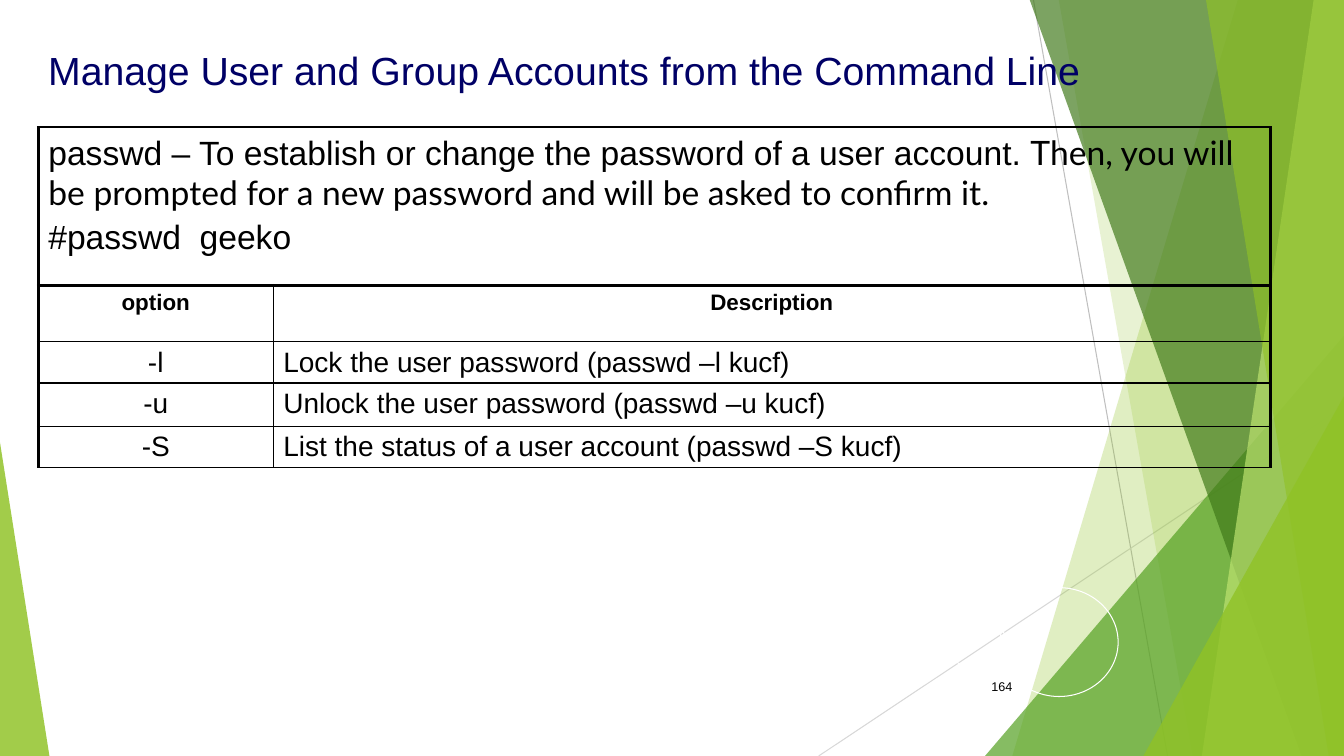
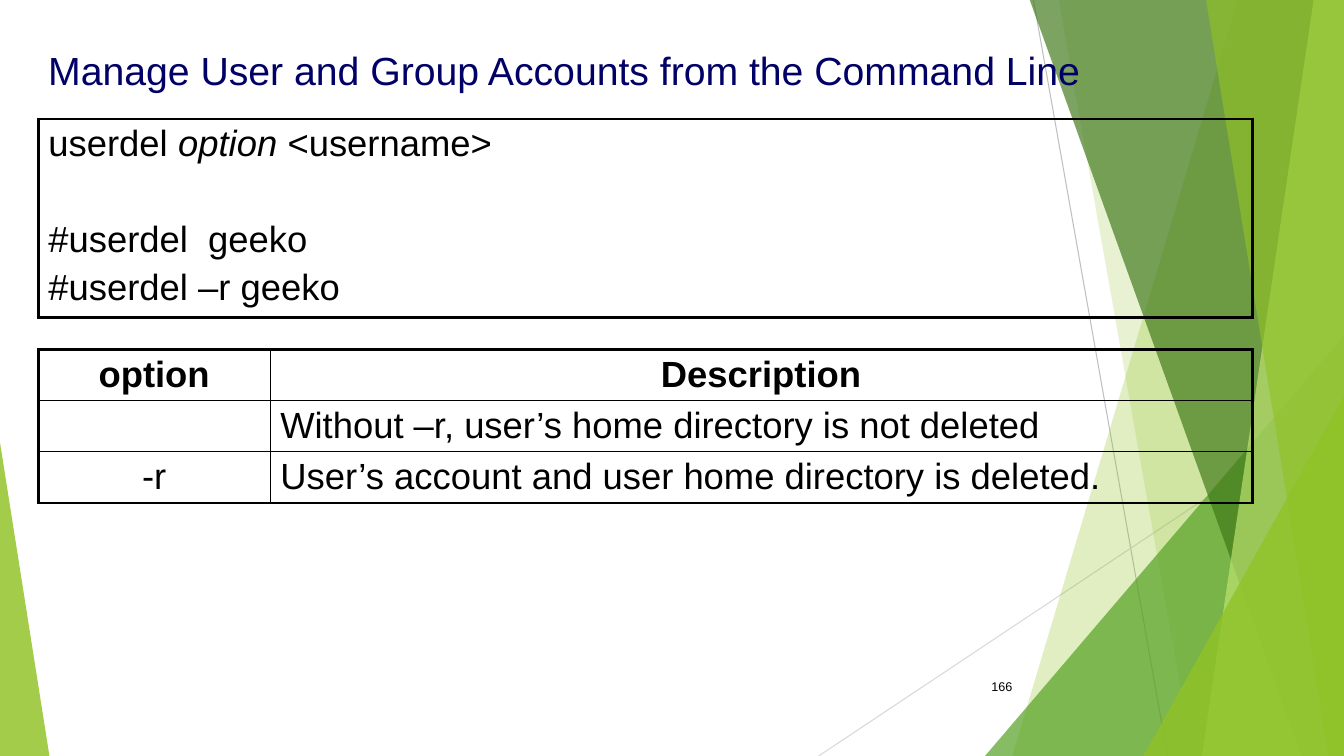
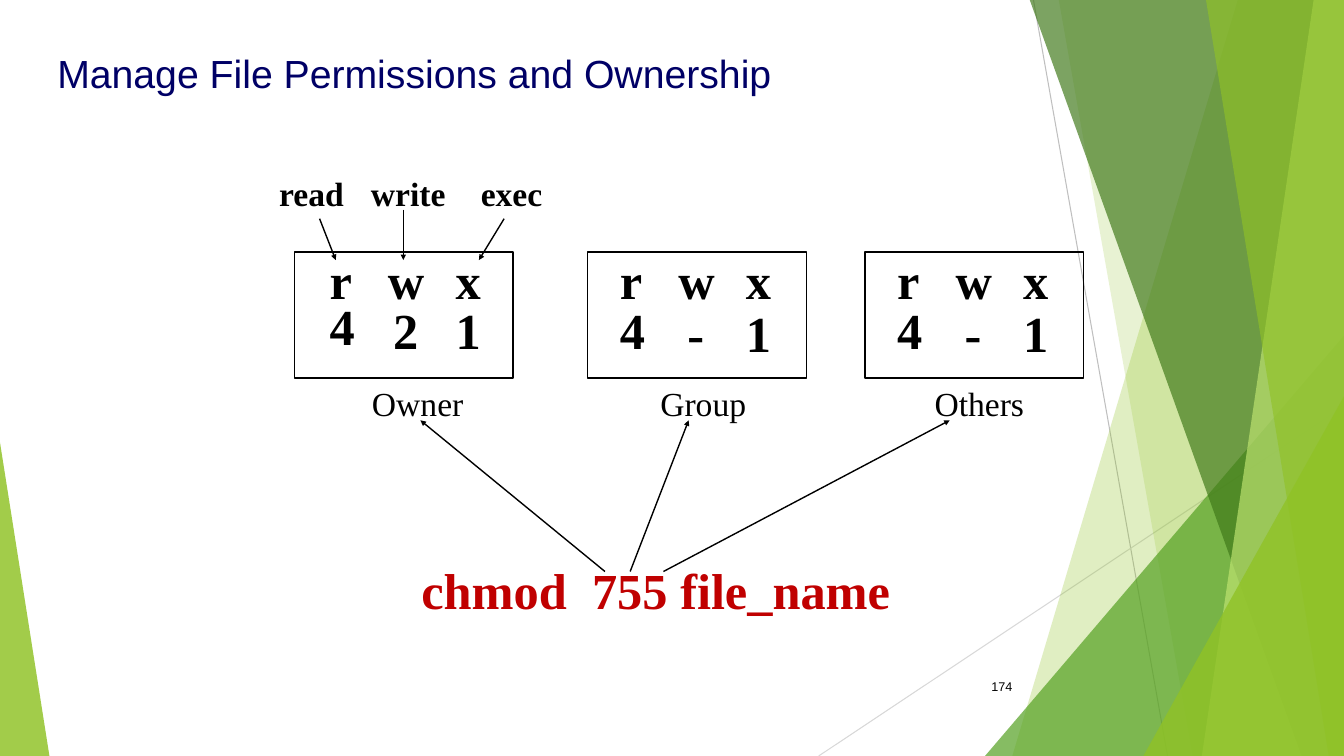
import dataclasses
from typing import NamedTuple

import lxml.etree
import pptx
import pptx.dml.color
import pptx.enum.shapes
import pptx.enum.text
import pptx.oxml.ns
import pptx.shapes.autoshape
import pptx.slide
import pptx.table
import pptx.text.text
import pptx.util

Inches = pptx.util.Inches
Pt = pptx.util.Pt
Align = pptx.enum.text.PP_ALIGN
Preset = pptx.enum.shapes.MSO_SHAPE
qn = pptx.oxml.ns.qn


@dataclasses.dataclass(frozen=True)
class Theme:
    # Colours
    ink: str = "000000"
    white: str = "FFFFFF"
    title: str = "000066"
    command: str = "C00000"
    lime: str = "90C226"
    pale_lime: str = "BFE471"
    green: str = "54A021"
    dark_green: str = "3F7818"
    line_gray: str = "BFBFBF"
    light_gray: str = "D8D8D8"
    # Fonts
    sans: str = "Arial"
    humanist: str = "Lato"
    serif: str = "Times New Roman"
    # Type sizes and line widths, in points
    title_size: int = 28
    number_size: int = 9
    intro_size: int = 24
    userdel_size: int = 26
    header_size: int = 16
    option_size: int = 20
    label_size: int = 24
    symbol_size: int = 36
    thick: float = 2.25
    thin: float = 1
    hairline: float = 0.75
    # Table style without fills and grid
    plain_table: str = "{2D5ABB26-0587-4C30-8999-92F81FD0307C}"


THEME = Theme()


class Run(NamedTuple):
    text: str
    size: float
    font: str = THEME.sans
    color: str = THEME.ink
    bold: bool = False
    italic: bool = False


class Para(NamedTuple):
    runs: tuple[Run, ...]
    align: Align = Align.LEFT
    before: float = 0


class Box(NamedTuple):
    left: float
    top: float
    width: float
    height: float


class Band(NamedTuple):
    """A sloped band that reaches the right edge of the slide."""
    top_left: float
    bottom_left: float
    color: str
    opacity: int


class Wedge(NamedTuple):
    box: Box
    apex: float
    color: str
    opacity: int


class Arrow(NamedTuple):
    x1: float
    y1: float
    x2: float
    y2: float


class Party(NamedTuple):
    """One class of users with its permission box."""
    name: str
    name_box: Box
    frame_left: float
    letters_left: float
    digits: str
    digit_offsets: tuple[float, ...]
    digit_tops: tuple[float, ...]


WIDTH, HEIGHT = 13.33, 7.5
BACK_BANDS = (Band(12.28, 10.04, THEME.lime, 28), Band(10.5, 11.83, THEME.lime, 20))
FRONT_BANDS = (
    Band(10.21, 12.91, THEME.dark_green, 68),
    Band(13.03, 11.92, THEME.pale_lime, 68),
    Band(11.96, 13.18, THEME.lime, 63),
)
MIDDLE_WEDGE = Wedge(Box(9.77, 3.33, 3.56, 4.17), 1, THEME.green, 70)
FRONT_WEDGES = (
    Wedge(Box(11.34, 3.93, 1.99, 3.57), 1, THEME.lime, 80),
    Wedge(Box(0, 4.39, 0.49, 3.11), 0, THEME.lime, 83),
)


# Basic parts

def rgb(color: str) -> pptx.dml.color.RGBColor:
    return pptx.dml.color.RGBColor.from_string(color)


def emu(box: Box) -> tuple[int, ...]:
    return tuple(Inches(length) for length in box)


def fill_frame(frame: pptx.text.text.TextFrame, paras: tuple[Para, ...]) -> None:
    for index, para in enumerate(paras):
        paragraph = frame.add_paragraph() if index else frame.paragraphs[0]
        paragraph.alignment = para.align
        if para.before:
            paragraph.space_before = Pt(para.before)
        for part in para.runs:
            run = paragraph.add_run()
            run.text = part.text
            run.font.size = Pt(part.size)
            run.font.name = part.font
            run.font.bold = part.bold
            run.font.italic = part.italic
            run.font.color.rgb = rgb(part.color)
        # The paragraph mark takes the type of the last run
        mark = lxml.etree.SubElement(paragraph._p, qn("a:endParaRPr"),
                                     sz=str(int(part.size * 100)))
        lxml.etree.SubElement(mark, qn("a:latin"), typeface=part.font)


def add_text(slide: pptx.slide.Slide, box: Box, run: Run, align: Align = Align.LEFT,
             wrap: bool = False) -> pptx.text.text.TextFrame:
    frame = slide.shapes.add_textbox(*emu(box)).text_frame
    frame.word_wrap = wrap
    fill_frame(frame, (Para((run,), align),))
    return frame


def add_line(slide: pptx.slide.Slide, ends: Arrow, color: str, width: float,
             arrowhead: bool = False) -> None:
    line = slide.shapes.add_connector(
        pptx.enum.shapes.MSO_CONNECTOR.STRAIGHT, *(Inches(value) for value in ends))
    line.line.color.rgb = rgb(color)
    line.line.width = Pt(width)
    if arrowhead:
        lxml.etree.SubElement(line.line._get_or_add_ln(), qn("a:tailEnd"),
                              type="triangle", w="sm", len="sm")
    lxml.etree.SubElement(line.element.spPr, qn("a:effectLst"))


def add_outline(slide: pptx.slide.Slide, preset: Preset, box: Box, color: str,
                width: float) -> None:
    outline = slide.shapes.add_shape(preset, *emu(box))
    outline.shadow.inherit = False
    outline.fill.background()
    outline.line.color.rgb = rgb(color)
    outline.line.width = Pt(width)


def paint(shape: pptx.shapes.autoshape.Shape, color: str, opacity: int) -> None:
    shape.shadow.inherit = False
    shape.line.fill.background()
    shape.fill.solid()
    shape.fill.fore_color.rgb = rgb(color)
    tint = shape.element.xpath("./p:spPr/a:solidFill/a:srgbClr")[0]
    lxml.etree.SubElement(tint, qn("a:alpha"), val=str(opacity * 1000))


# Shared backdrop

def add_band(slide: pptx.slide.Slide, band: Band) -> None:
    top, bottom, right = Inches(-0.01), Inches(HEIGHT), Inches(WIDTH)
    builder = slide.shapes.build_freeform(Inches(band.top_left), top)
    builder.add_line_segments(
        [(right, top), (right, bottom), (Inches(band.bottom_left), bottom)], close=True)
    paint(builder.convert_to_shape(), band.color, band.opacity)


def add_wedge(slide: pptx.slide.Slide, wedge: Wedge) -> None:
    triangle = slide.shapes.add_shape(Preset.ISOSCELES_TRIANGLE, *emu(wedge.box))
    triangle.adjustments[0] = wedge.apex
    paint(triangle, wedge.color, wedge.opacity)


def build_backdrop(slide: pptx.slide.Slide) -> None:
    """Draw the backdrop, then hand it to the layout that all slides use."""
    add_line(slide, Arrow(10.25, 0, 11.58, HEIGHT), THEME.line_gray, THEME.hairline)
    add_line(slide, Arrow(WIDTH, 4.03, 8.12, HEIGHT), THEME.light_gray, THEME.hairline)
    for band in BACK_BANDS:
        add_band(slide, band)
    add_wedge(slide, MIDDLE_WEDGE)
    for band in FRONT_BANDS:
        add_band(slide, band)
    for wedge in FRONT_WEDGES:
        add_wedge(slide, wedge)

    layout = slide.slide_layout
    for placeholder in list(layout.placeholders):
        layout.shapes.element.remove(placeholder.element)
    for shape in list(slide.shapes):
        layout.shapes.element.append(shape.element)


def add_title(slide: pptx.slide.Slide, text: str, box: Box) -> None:
    add_text(slide, box, Run(text, THEME.title_size, color=THEME.title), wrap=True)


def add_number(slide: pptx.slide.Slide, number: int) -> None:
    frame = add_text(slide, Box(9.39, 6.61, 0.75, 0.4),
                     Run(str(number), THEME.number_size), Align.RIGHT, wrap=True)
    frame.vertical_anchor = pptx.enum.text.MSO_ANCHOR.MIDDLE


# Tables

TABLE_LEFT = 0.38
TABLE_FRAME = 3.28


def set_borders(cell: pptx.table._Cell, widths: dict[str, float]) -> None:
    properties = cell._tc.get_or_add_tcPr()
    for index, side in enumerate(("lnL", "lnR", "lnT", "lnB")):
        border = lxml.etree.Element(qn(f"a:{side}"), w=str(int(Pt(widths[side]))))
        fill = lxml.etree.SubElement(border, qn("a:solidFill"))
        lxml.etree.SubElement(fill, qn("a:srgbClr"), val=THEME.ink)
        properties.insert(index, border)


def add_grid(slide: pptx.slide.Slide, top: float, columns: tuple[float, ...],
             heights: tuple[float, ...], rows: list[list[tuple[Para, ...]]],
             top_line: float = THEME.thick, bottom_line: float = THEME.thick) -> None:
    holder = slide.shapes.add_table(
        len(heights), len(columns),
        *emu(Box(TABLE_LEFT, top, TABLE_FRAME, TABLE_FRAME)))
    grid = holder.table
    grid.first_row = grid.horz_banding = False
    holder.element.xpath(".//a:tableStyleId")[0].text = THEME.plain_table
    for column, width in zip(grid.columns, columns):
        column.width = Inches(width)
    for row, height in zip(grid.rows, heights):
        row.height = Inches(height)
    # Row and column sizes rule; the frame keeps its square size
    holder.width = holder.height = Inches(TABLE_FRAME)
    last_row, last_column = len(heights) - 1, len(columns) - 1
    for r, row in enumerate(rows):
        for c, paras in enumerate(row):
            cell = grid.cell(r, c)
            cell.margin_bottom = 0
            cell.fill.background()
            set_borders(cell, {
                "lnL": THEME.thin if c else THEME.thick,
                "lnR": THEME.thick if c == last_column else THEME.thin,
                "lnT": THEME.thin if r else top_line,
                "lnB": bottom_line if r == last_row else THEME.thin,
            })
            fill_frame(cell.text_frame, paras)


def option_rows(options: list[tuple[str, str]], header_size: float,
                size: float) -> list[list[tuple[Para, ...]]]:
    header = [(Para((Run(name, header_size, bold=True),), Align.CENTER),)
              for name in ("option", "Description")]
    body = [[(Para((Run(flag, size),), Align.CENTER),) if flag else (),
             (Para((Run(meaning, size),)),)] for flag, meaning in options]
    return [header, *body]


# Slides

ACCOUNTS_TITLE = "Manage User and Group Accounts from the Command Line"
ACCOUNTS_TITLE_BOX = Box(0.38, 0.41, 10.87, 0.57)


def build_passwd(slide: pptx.slide.Slide) -> None:
    add_number(slide, 164)
    size = THEME.intro_size
    intro = (
        Para((
            Run("passwd – To establish or change the password of a user account. ", size),
            Run("Then, you will be prompted for a new password and will be asked "
                "to confirm it.", size, THEME.humanist),
        )),
        Para((Run("#passwd  geeko", size),), before=4.8),
    )
    add_grid(slide, 1.26, (12.22,), (1.57,), [[intro]], THEME.thin, THEME.thin)
    for ring in (Box(9.92, 5.83, 1.17, 1.08), Box(9.42, 6.08, 0.55, 0.58)):
        add_outline(slide, Preset.OVAL, ring, THEME.white, THEME.hairline)
    add_title(slide, ACCOUNTS_TITLE, ACCOUNTS_TITLE_BOX)
    options = [
        ("-l", "Lock the user password (passwd –l kucf)"),
        ("-u", "Unlock the user password (passwd –u kucf)"),
        ("-S", "List the status of a user account (passwd –S kucf)"),
    ]
    add_grid(slide, 2.83, (2.33, 9.89), (0.56, 0.41, 0.43, 0.41),
             option_rows(options, THEME.header_size, THEME.option_size),
             bottom_line=THEME.thin)


def build_userdel(slide: pptx.slide.Slide) -> None:
    add_number(slide, 166)
    size = THEME.userdel_size
    usage = (
        Para((Run("userdel ", size), Run("option", size, italic=True),
              Run(" <username>", size))),
        Para((Run("#userdel  geeko", size),), before=39.5),
        Para((Run("#userdel –r geeko", size),), before=5.2),
    )
    add_grid(slide, 1.18, (12.04,), (1.93,), [[usage]])
    options = [
        ("", "Without –r, user’s home directory is not deleted"),
        ("-r", "User’s account and user home directory is deleted."),
    ]
    add_grid(slide, 3.47, (2.3, 9.74), (0.5, 0.51, 0.51),
             option_rows(options, size, size))
    add_title(slide, ACCOUNTS_TITLE, ACCOUNTS_TITLE_BOX)


LETTERS = (("r", 0, 0.42), ("w", 0.58, 0.56), ("x", 1.25, 0.45))
PARTIES = (
    Party("Owner", Box(3.59, 3.75, 1.12, 0.5), 2.92, 3.17, "421",
          (0, 0.63, 1.25), (2.88, 2.92, 2.92)),
    Party("Group", Box(6.45, 3.75, 1.05, 0.5), 5.83, 6.05, "4-1",
          (0, 0.67, 1.25), (2.92, 2.95, 2.95)),
    Party("Others", Box(9.17, 3.75, 1.09, 0.5), 8.58, 8.8, "4-1",
          (0, 0.67, 1.25), (2.92, 2.95, 2.95)),
)
RIGHTS = (("read", 2.67, 0.85), ("write", 3.58, 0.94), ("exec", 4.67, 0.81))
ARROWS = (
    # From each right to its letter
    Arrow(3.17, 2.17, 3.33, 2.58),
    Arrow(4, 2.08, 4, 2.58),
    Arrow(5, 2.17, 4.75, 2.58),
    # From each digit of the mode to its party
    Arrow(6, 5.67, 4.17, 4.17),
    Arrow(6.25, 5.67, 6.83, 4.17),
    Arrow(6.58, 5.67, 9.42, 4.17),
)


def symbol(text: str, color: str = THEME.ink) -> Run:
    return Run(text, THEME.symbol_size, THEME.serif, color, bold=True)


def add_party(slide: pptx.slide.Slide, party: Party) -> None:
    add_outline(slide, Preset.RECTANGLE, Box(party.frame_left, 2.5, 2.17, 1.25),
                THEME.ink, THEME.thin)
    add_text(slide, party.name_box, Run(party.name, THEME.label_size, THEME.serif))
    for letter, offset, width in LETTERS:
        add_text(slide, Box(party.letters_left + offset, 2.42, width, 0.7), symbol(letter))
    for digit, offset, top in zip(party.digits, party.digit_offsets, party.digit_tops):
        width = 0.37 if digit == "-" else 0.45
        add_text(slide, Box(party.letters_left + offset, top, width, 0.7), symbol(digit))


def build_permissions(slide: pptx.slide.Slide) -> None:
    add_number(slide, 174)
    for party in PARTIES:
        add_party(slide, party)
    for right, left, width in RIGHTS:
        add_text(slide, Box(left, 1.67, width, 0.5),
                 Run(right, THEME.label_size, THEME.serif, bold=True))
    add_text(slide, Box(4.08, 5.5, 5.08, 0.7),
             symbol("chmod  755 file_name", THEME.command), wrap=True)
    for arrow in ARROWS:
        add_line(slide, arrow, THEME.ink, THEME.thin, arrowhead=True)
    add_title(slide, "Manage File Permissions and Ownership", Box(0.47, 0.44, 9.67, 0.58))


def main() -> None:
    deck = pptx.Presentation()
    deck.slide_width, deck.slide_height = Inches(WIDTH), Inches(HEIGHT)
    blank = deck.slide_layouts[6]
    for index, build in enumerate((build_passwd, build_userdel, build_permissions)):
        slide = deck.slides.add_slide(blank)
        if index == 0:
            build_backdrop(slide)
        build(slide)
    deck.save("out.pptx")


if __name__ == "__main__":
    main()
